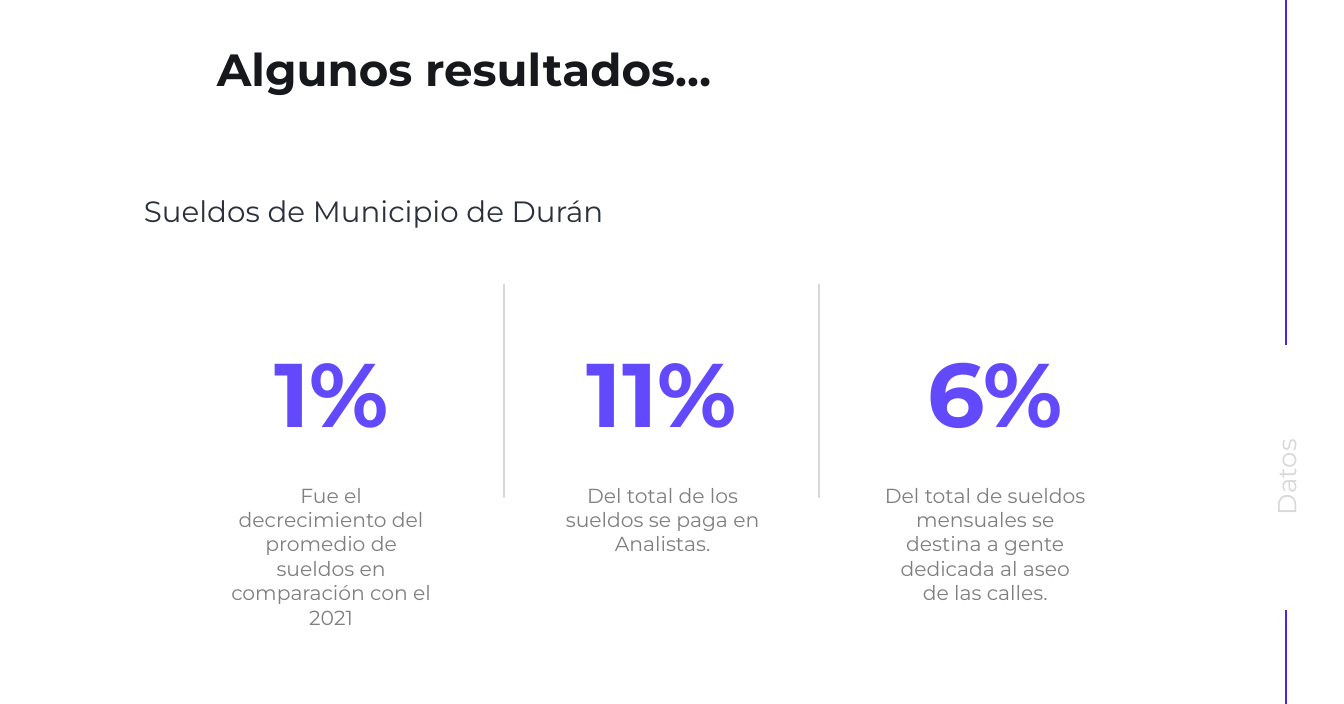
from dataclasses import dataclass

from lxml import etree
from pptx import Presentation
from pptx.dml.color import RGBColor
from pptx.enum.shapes import MSO_CONNECTOR
from pptx.enum.text import MSO_ANCHOR as Anchor, PP_ALIGN as Align
from pptx.oxml.ns import qn
from pptx.slide import Slide
from pptx.util import Inches, Pt

FONT = "Montserrat"
INSET = 0.16
INK, SLATE, GRAY, PALE = "16181C", "2B303C", "7F7F7F", "D8D8D8"
VIOLET, INDIGO = "6349FC", "4B22F4"


@dataclass
class Label:
    text: str
    left: float
    top: float
    width: float
    height: float
    size: float
    color: str
    bold: bool = False
    align: Align = Align.CENTER
    anchor: Anchor = Anchor.TOP
    rotation: float = 0


@dataclass
class Rule:
    x: float
    top: float
    bottom: float
    color: str
    weight: float


@dataclass
class Result:
    figure: str
    figure_left: float
    caption: str
    caption_left: float


def rgb(color: str) -> RGBColor:
    return RGBColor.from_string(color)


def add_label(slide: Slide, label: Label) -> None:
    box = slide.shapes.add_textbox(
        Inches(label.left), Inches(label.top), Inches(label.width), Inches(label.height))
    box.rotation = label.rotation
    frame = box.text_frame
    frame.word_wrap = True
    frame.vertical_anchor = label.anchor
    frame.margin_left = frame.margin_right = Inches(INSET)
    frame.margin_top = frame.margin_bottom = Inches(INSET)
    paragraph = frame.paragraphs[0]
    paragraph.text = label.text
    paragraph.alignment = label.align
    font = paragraph.font
    font.name, font.size, font.bold = FONT, Pt(label.size), label.bold
    font.color.rgb = rgb(label.color)


def add_rule(slide: Slide, rule: Rule) -> None:
    connector = slide.shapes.add_connector(
        MSO_CONNECTOR.STRAIGHT,
        Inches(rule.x), Inches(rule.top), Inches(rule.x), Inches(rule.bottom))
    connector.line.color.rgb = rgb(rule.color)
    connector.line.width = Pt(rule.weight)
    etree.SubElement(connector.element.spPr, qn("a:effectLst"))


RULES = [
    # Side line, interrupted by the section name
    Rule(15.83, 0, 4.24, INDIGO, 1.5),
    Rule(15.83, 7.5, 8.66, INDIGO, 1.5),
    # Dividers between results
    Rule(6.2, 3.49, 6.13, PALE, 2.25),
    Rule(10.08, 3.49, 6.13, PALE, 2.25),
]

HEADINGS = [
    Label("Algunos resultados…", 2.51, 0.45, 10.08, 0.78, 40, INK,
          bold=True, align=Align.LEFT, anchor=Anchor.MIDDLE),
    Label("Sueldos de Municipio de Durán", 1.61, 2.22, 13.09, 1.9, 26, SLATE,
          align=Align.LEFT),
    Label("Datos", 14.19, 5.51, 3.29, 0.72, 23, PALE, rotation=270),
]

RESULTS = [
    Result("1%", 2.33, "Fue el decrecimiento del promedio de sueldos en "
           "comparación con el 2021", 2.68),
    Result("11%", 6.39, "Del total de los sueldos se paga en Analistas.", 6.76),
    Result("6%", 10.49, "Del total de sueldos mensuales se destina a gente "
           "dedicada al aseo de las calles.", 10.73),
]


def main() -> None:
    presentation = Presentation()
    presentation.slide_width = Inches(16.54)
    presentation.slide_height = Inches(8.66)
    slide = presentation.slides.add_slide(presentation.slide_layouts[6])

    for rule in RULES:
        add_rule(slide, rule)
    for heading in HEADINGS:
        add_label(slide, heading)

    # Large figure with its caption below
    for result in RESULTS:
        add_label(slide, Label(result.figure, result.figure_left, 3.33, 3.51, 2.96,
                               80, VIOLET, bold=True, anchor=Anchor.MIDDLE))
        add_label(slide, Label(result.caption, result.caption_left, 5.78, 2.79, 2.09,
                               18, GRAY))

    presentation.save("out.pptx")


if __name__ == "__main__":
    main()
